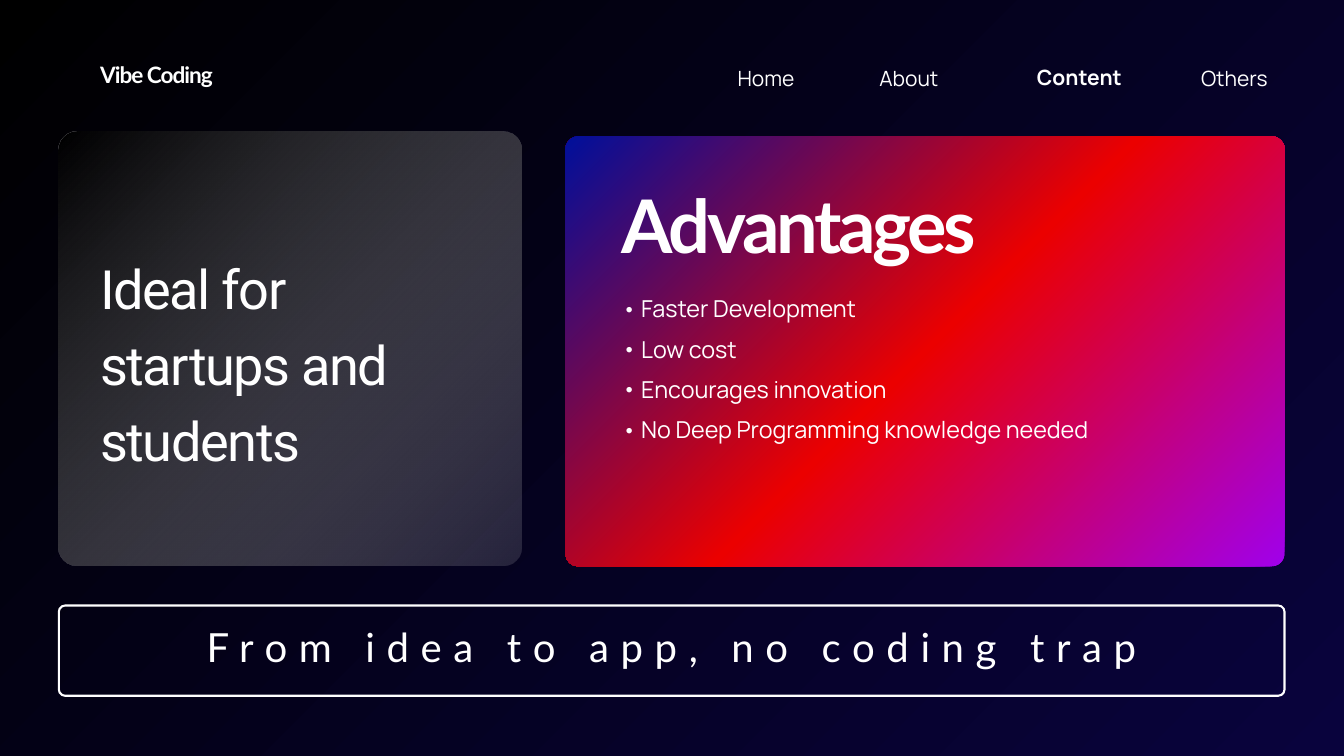
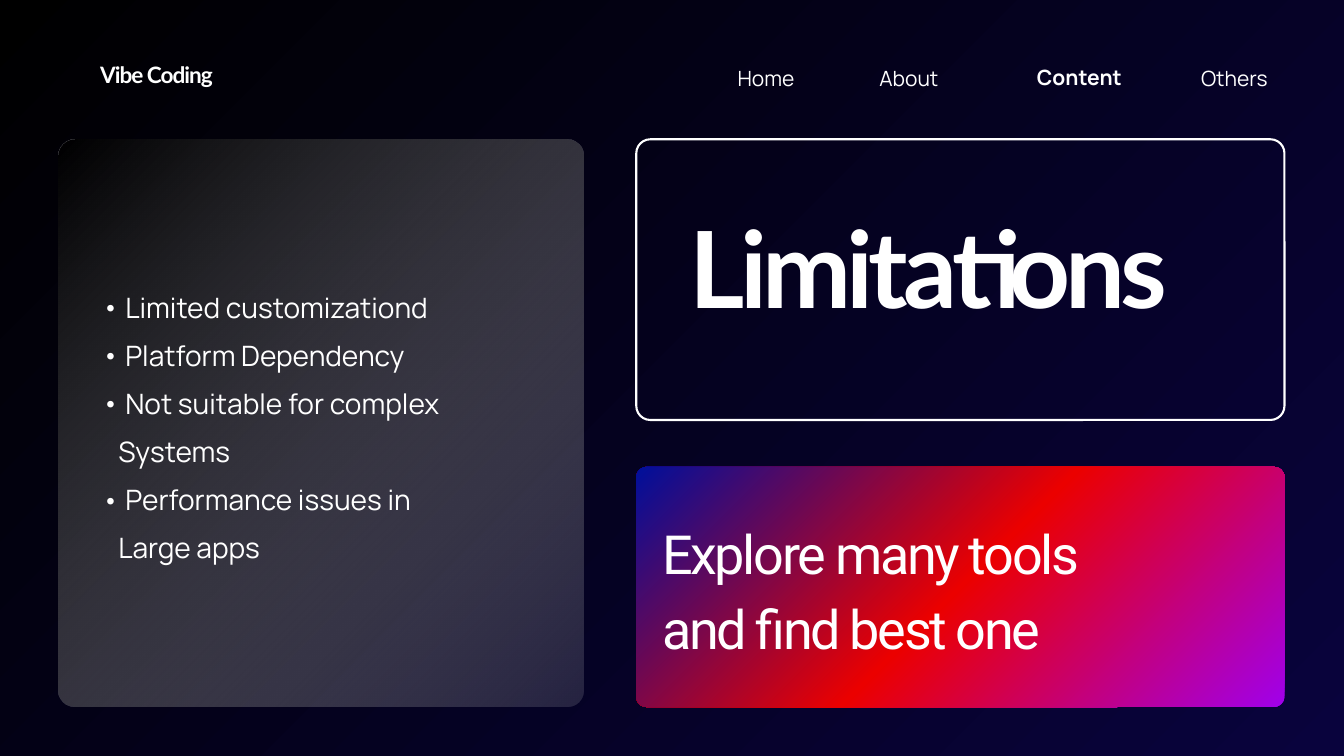
from lxml.etree import SubElement
from pptx import Presentation
from pptx.dml.color import RGBColor
from pptx.enum.shapes import MSO_SHAPE
from pptx.enum.text import MSO_AUTO_SIZE as AutoSize, PP_ALIGN as Align
from pptx.oxml.ns import qn
from pptx.util import Pt

PX = 9525
WHITE = RGBColor.from_string("FFFFFF")

THEME = {
    "gradients": {
        "night": [(0, "000000", 100), (100, "09033D", 100)],
        "glass": [(0, "000000", 78), (100, "DDDDDD", 15)],
        "vivid": [(0, "000F9B", 100), (50, "EB0000", 100), (100, "A000EB", 100)],
    },
    "outline_width": Pt(2.25),
    "styles": {
        "brand": {"font": {"name": "Lato", "size": Pt(24.2), "bold": True},
                  "line": 33.9, "tracking": -1.1},
        "nav": {"font": {"name": "Manrope", "size": Pt(22.5)}, "line": 31.5},
        "nav_active": {"font": {"name": "Manrope", "size": Pt(22.5), "bold": True},
                       "line": 31.5},
        "title": {"font": {"name": "Lato", "size": Pt(79.2), "bold": True},
                  "line": 80.8, "tracking": -3.6},
        "big_title": {"font": {"name": "Lato", "size": Pt(114), "bold": True},
                      "line": 116.3, "tracking": -5.1},
        "statement": {"font": {"name": "Roboto", "size": Pt(58)},
                      "line": 81.2, "tracking": -1.5},
        "tight_statement": {"font": {"name": "Roboto", "size": Pt(57.8)},
                            "line": 80.8, "tracking": -2.5},
        "tagline": {"font": {"name": "Lato", "size": Pt(43)},
                    "line": 43.8, "tracking": 12.5},
        "list": {"font": {"name": "Manrope", "size": Pt(25)},
                 "line": 35, "after": 8.1, "bullet_indent": 28},
        "big_list": {"font": {"name": "Manrope", "size": Pt(30.1)},
                     "line": 51.5, "bullet_indent": 34, "plain_indent": 24},
    },
}

NAVIGATION = [
    ("brand", (143, 81, 282, 47), Align.LEFT, ["Vibe Coding"]),
    ("nav", (960, 88, 175, 43), Align.RIGHT, ["Home"]),
    ("nav", (1198, 88, 201, 43), Align.CENTER, ["About"]),
    ("nav_active", (1441, 86, 202, 43), Align.CENTER, ["Content"]),
    ("nav", (1578, 88, 233, 43), Align.RIGHT, ["Others"]),
]

SLIDES = [
    {
        "panels": [
            ("glass", (84, 188, 661, 620), 27),
            ("vivid", (808, 195, 1027, 614), 18),
            ("outline", (84, 865, 1751, 129), 9),
        ],
        "texts": [
            ("title", (888, 276, 909, 120), Align.LEFT, ["Advantages"]),
            ("list", (888, 414, 868, 218), Align.LEFT, [
                "• Faster Development",
                "• Low cost",
                "• Encourages innovation",
                "• No Deep Programming knowledge needed",
            ]),
            ("statement", (143, 350, 454, 322), Align.LEFT,
             ["Ideal for startups and students"]),
            ("tagline", (100, 899, 1720, 65), Align.CENTER,
             ["From idea to app, no coding trap"]),
        ],
    },
    {
        "panels": [
            ("glass", (84, 199, 750, 811), 24),
            ("vivid", (909, 667, 926, 343), 15),
            ("outline", (909, 199, 926, 401), 20),
        ],
        "texts": [
            ("big_list", (145, 394, 580, 403), Align.LEFT, [
                "• Limited customizationd",
                "• Platform Dependency",
                "• Not suitable for complex",
                "Systems",
                "• Performance issues in",
                "Large apps",
            ]),
            ("big_title", (985, 316, 776, 176), Align.LEFT, ["Limitations"]),
            ("tight_statement", (946, 728, 714, 210), Align.LEFT,
             ["Explore many tools and find best one"]),
        ],
    },
]


def paint_gradient(fill, element, name):
    fill.gradient()
    gradient = element.find(".//" + qn("a:gradFill"))
    gradient.clear()
    gradient.set("rotWithShape", "1")
    stops = SubElement(gradient, qn("a:gsLst"))
    for position, color, opacity in THEME["gradients"][name]:
        stop = SubElement(stops, qn("a:gs"), pos=str(position * 1000))
        value = SubElement(stop, qn("a:srgbClr"), val=color)
        if opacity < 100:
            SubElement(value, qn("a:alpha"), val=str(opacity * 1000))
    if name == "glass":
        SubElement(gradient, qn("a:lin"), ang=str(45 * 60000), scaled="0")
    else:
        circle = SubElement(gradient, qn("a:path"), path="circle")
        SubElement(circle, qn("a:fillToRect"), l="0", t="0", r="100000", b="100000")


def add_text(slide, style_name, bounds, alignment, lines):
    style = THEME["styles"][style_name]
    box = slide.shapes.add_textbox(*(value * PX for value in bounds))
    frame = box.text_frame
    frame_format = {"word_wrap": True, "auto_size": AutoSize.SHAPE_TO_FIT_TEXT,
                    "margin_left": 0, "margin_top": 0,
                    "margin_right": 0, "margin_bottom": 0}
    for attribute, value in frame_format.items():
        setattr(frame, attribute, value)
    frame.text = "\n".join(line.removeprefix("• ") for line in lines)
    paragraph_format = {"alignment": alignment, "line_spacing": Pt(style["line"]),
                        "space_after": Pt(style.get("after", 0))}
    for paragraph in frame.paragraphs:
        for attribute, value in paragraph_format.items():
            setattr(paragraph, attribute, value)
        font = paragraph.runs[0].font
        for attribute, value in style["font"].items():
            setattr(font, attribute, value)
        font.color.rgb = WHITE
    for properties in box.element.iter(qn("a:rPr")):
        properties.set("spc", str(round(style.get("tracking", 0) * 100)))
    for line, properties in zip(lines, box.element.iter(qn("a:pPr"))):
        if line.startswith("• "):
            indent = style["bullet_indent"] * PX
            properties.set("marL", str(indent))
            properties.set("indent", str(-indent))
            SubElement(properties, qn("a:buFont"), typeface=style["font"]["name"])
            SubElement(properties, qn("a:buChar"), char="•")
        elif "plain_indent" in style:
            properties.set("marL", str(style["plain_indent"] * PX))
            properties.set("indent", "0")


presentation = Presentation()
presentation.slide_width = 1920 * PX
presentation.slide_height = 1080 * PX

for content in SLIDES:
    slide = presentation.slides.add_slide(presentation.slide_layouts[6])
    paint_gradient(slide.background.fill, slide.element, "night")
    for kind, bounds, radius in content["panels"]:
        panel = slide.shapes.add_shape(MSO_SHAPE.ROUNDED_RECTANGLE,
                                       *(value * PX for value in bounds))
        panel.shadow.inherit = False
        panel.adjustments[0] = radius / min(bounds[2:])
        if kind == "outline":
            panel.fill.background()
            panel.line.color.rgb = WHITE
            panel.line.width = THEME["outline_width"]
        else:
            paint_gradient(panel.fill, panel.element, kind)
            panel.line.fill.background()
    for entry in NAVIGATION + content["texts"]:
        add_text(slide, *entry)

presentation.save("out.pptx")
